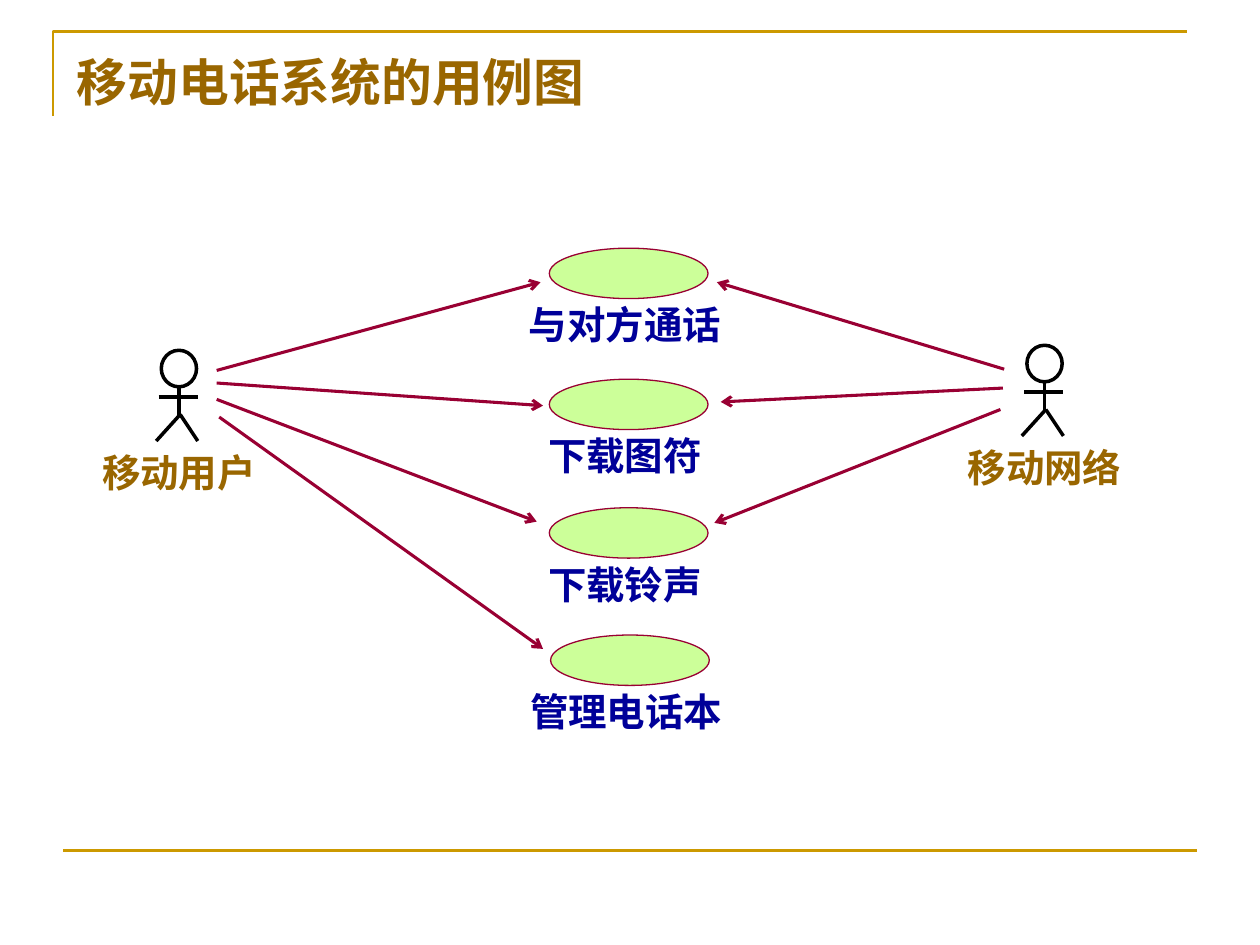
from lxml import etree
from pptx import Presentation
from pptx.dml.color import RGBColor
from pptx.enum import shapes, text
from pptx.oxml.ns import qn
from pptx.util import Inches, Pt

# Content
TITLE = "移动电话系统的用例图"
FONT = "Times New Roman"
COLORS = {"rule": "CC9900", "brown": "996600", "blue": "000099",
          "wine": "990033", "lime": "CCFF99", "black": "000000"}
# Actors: name, left and top of the head
ACTORS = [("移动用户", 1.28, 2.78), ("移动网络", 8.15, 2.74)]
# Use cases: name, left and top of the oval
USE_CASES = [("与对方通话", 4.36, 1.97), ("下载图符", 4.36, 3.01),
             ("下载铃声", 4.36, 4.03), ("管理电话本", 4.37, 5.04)]
# Associations: actor end, use case end
ARROWS = [((1.72, 2.94), (4.29, 2.24)), ((1.72, 3.04), (4.31, 3.22)),
          ((1.72, 3.17), (4.26, 4.14)), ((1.74, 3.31), (4.31, 5.15)),
          ((7.97, 2.93), (5.69, 2.24)), ((7.96, 3.08), (5.72, 3.19)),
          ((7.94, 3.25), (5.67, 4.15))]
OVAL_W, OVAL_H = 1.26, 0.4
HEAD_W, HEAD_H = 0.28, 0.29
# Label width: one 22 pt character each, plus insets and a little slack
CHAR_W, LABEL_PAD = 0.31, 0.2
# Body, arms and legs, measured from the top left of the head
LIMBS = [((0.15, 0.51), (-0.04, 0.72)), ((0.15, 0.51), (0.29, 0.72)),
         ((0.14, 0.3), (0.14, 0.51)), ((-0.02, 0.37), (0.29, 0.37))]


def rgb(name):
    return RGBColor.from_string(COLORS[name])


def set_line(sp, color, width):
    sp.line.color.rgb = rgb(color)
    sp.line.width = Pt(width)


def add_line(s, start, end, color, width, arrow=False):
    cx = s.shapes.add_connector(shapes.MSO_CONNECTOR.STRAIGHT,
                                *[Inches(v) for v in (*start, *end)])
    set_line(cx, color, width)
    if arrow:
        ln = cx.line._get_or_add_ln()
        etree.SubElement(ln, qn("a:tailEnd"), type="arrow")
    etree.SubElement(cx._element.spPr, qn("a:effectLst"))


def add_oval(s, x, y, w, h, color, width, fill=None):
    sp = s.shapes.add_shape(shapes.MSO_SHAPE.OVAL, *[Inches(v) for v in (x, y, w, h)])
    sp.shadow.inherit = False
    if fill:
        sp.fill.solid()
        sp.fill.fore_color.rgb = rgb(fill)
    else:
        sp.fill.background()
    set_line(sp, color, width)


def write(tf, words, size, color, align, anchor):
    tf.vertical_anchor = anchor
    p = tf.paragraphs[0]
    p.alignment = align
    r = p.add_run()
    r.text = words
    r.font.name, r.font.size, r.font.bold = FONT, Pt(size), True
    r.font.color.rgb = rgb(color)


def add_label(s, words, center, y, h, color, anchor):
    w = CHAR_W * len(words) + LABEL_PAD
    tf = s.shapes.add_textbox(*[Inches(v) for v in (center - w / 2, y, w, h)]).text_frame
    tf.word_wrap = False
    tf.auto_size = text.MSO_AUTO_SIZE.SHAPE_TO_FIT_TEXT
    write(tf, words, 22, color, text.PP_ALIGN.CENTER, anchor)


def main():
    prs = Presentation()
    prs.slide_width, prs.slide_height = Inches(10), Inches(7.5)
    s = prs.slides.add_slide(prs.slide_layouts[5])

    # Corner frame and bottom rule
    fb = s.shapes.build_freeform(Inches(0.42), Inches(0.92))
    fb.add_line_segments([(Inches(0.42), Inches(0.25)),
                          (Inches(9.42), Inches(0.25))], close=False)
    frame = fb.convert_to_shape()
    frame.shadow.inherit = False
    frame.fill.background()
    set_line(frame, "rule", 1.5)
    add_line(s, (0.5, 6.75), (9.5, 6.75), "rule", 1.5)

    # Title
    title = s.shapes.title
    title.left, title.top = Inches(0.51), Inches(0.35)
    title.width, title.height = Inches(9), Inches(0.78)
    title.text_frame.auto_size = text.MSO_AUTO_SIZE.NONE
    write(title.text_frame, TITLE, 29, "brown", text.PP_ALIGN.LEFT, text.MSO_ANCHOR.TOP)

    # Actors
    for name, x, y in ACTORS:
        add_oval(s, x, y, HEAD_W, HEAD_H, "black", 2)
        for (x1, y1), (x2, y2) in LIMBS:
            add_line(s, (x + x1, y + y1), (x + x2, y + y2), "black", 2)
        add_label(s, name, x + HEAD_W / 2, y + 0.74, 0.46, "brown", text.MSO_ANCHOR.MIDDLE)

    # Use cases, each label just left of the oval's centre
    for name, x, y in USE_CASES:
        add_oval(s, x, y, OVAL_W, OVAL_H, "wine", 0.75, "lime")
        add_label(s, name, x + OVAL_W / 2 - 0.03, y + 0.37, 0.47, "blue", text.MSO_ANCHOR.TOP)

    # Associations
    for start, end in ARROWS:
        add_line(s, start, end, "wine", 1.75, arrow=True)

    prs.save("out.pptx")


if __name__ == "__main__":
    main()
